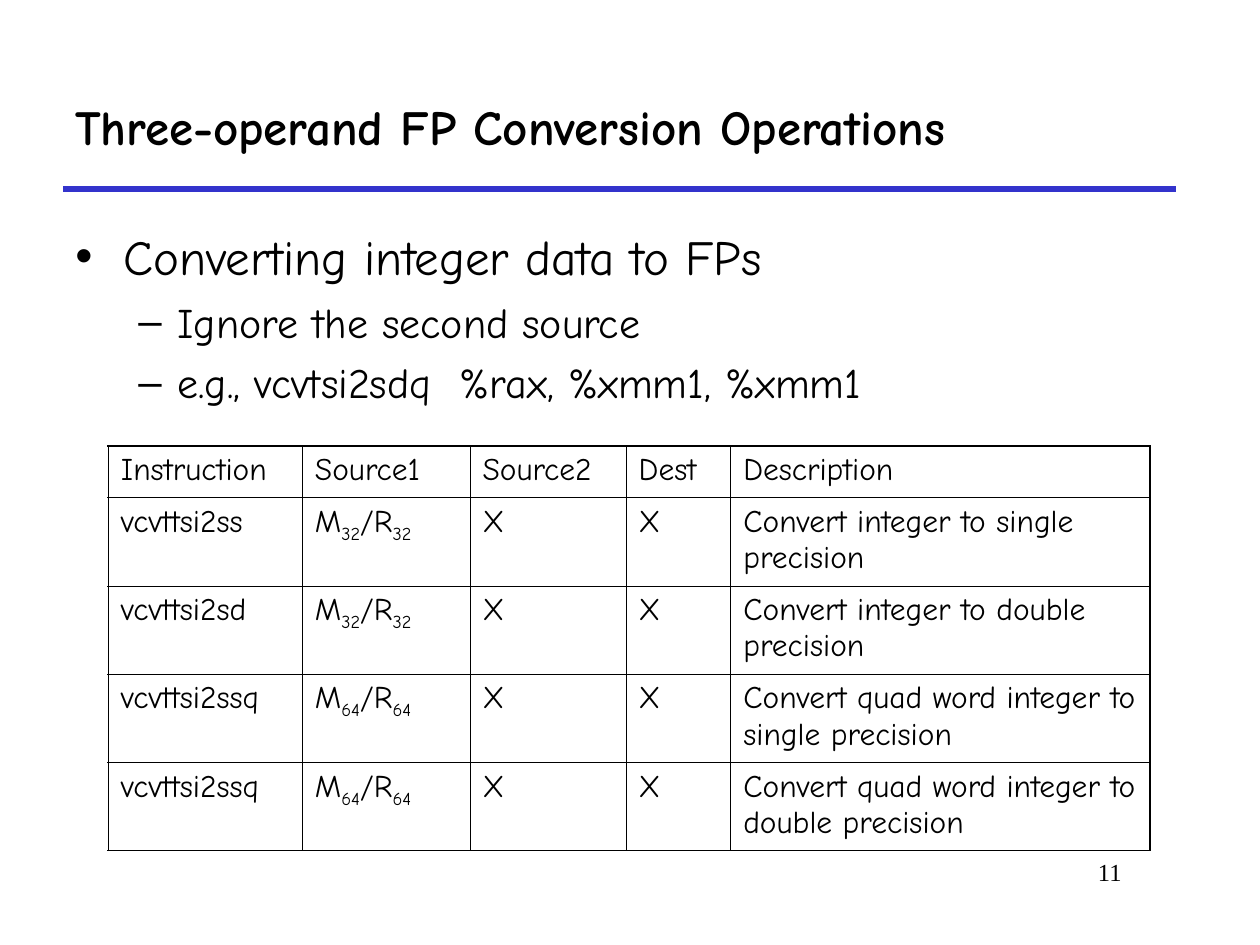
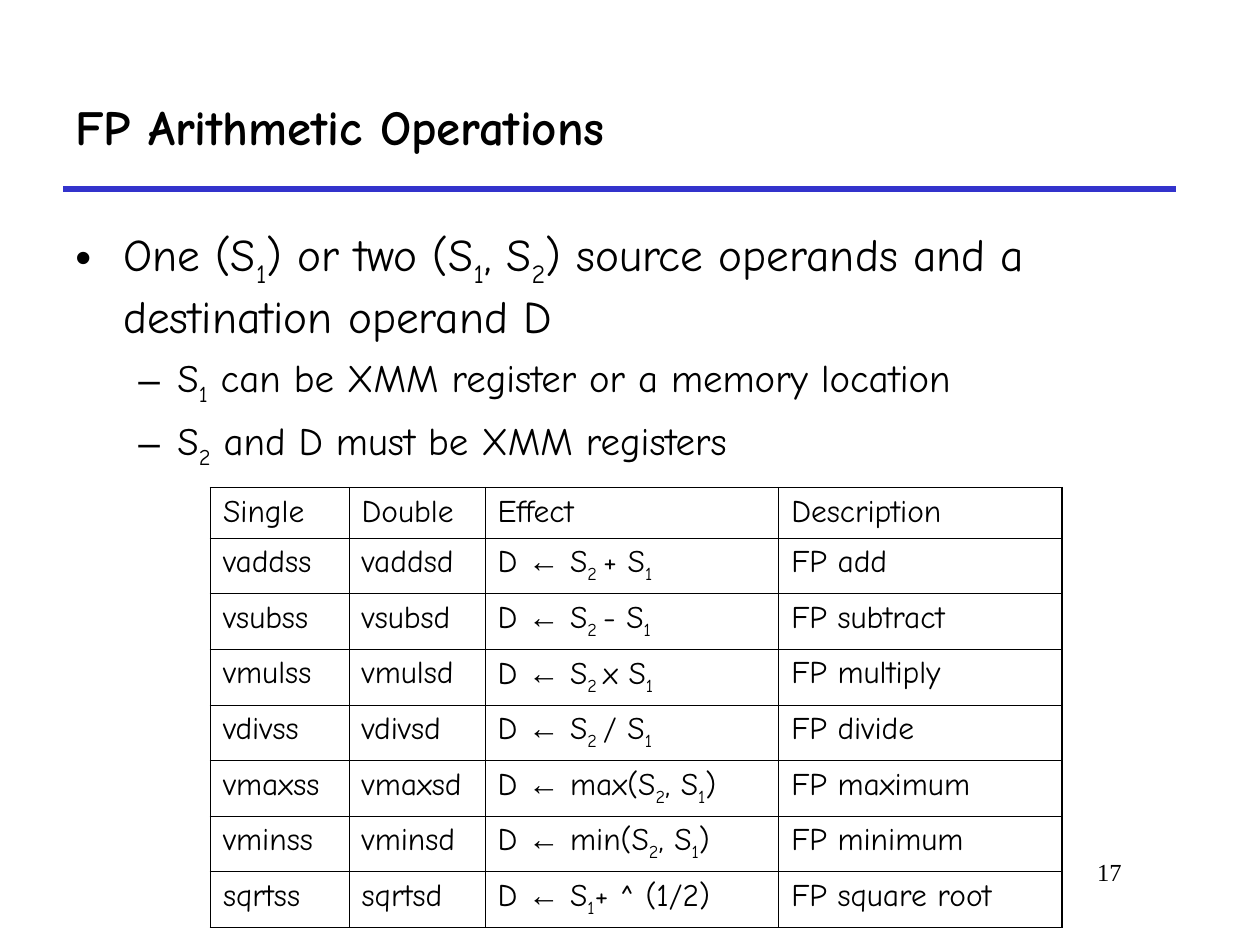
from lxml import etree
from pptx import Presentation
from pptx.dml.color import RGBColor
from pptx.enum import shapes, text
from pptx.oxml.ns import qn
from pptx.util import Inches, Pt

BLACK = RGBColor(0x00, 0x00, 0x00)
RULE_BLUE = RGBColor(0x33, 0x33, 0xCC)
BODY_FONT, ARROW_FONT, NUMBER_FONT = "Comic Neue", "Arial", "Times New Roman"
THIN, THICK = Pt(0.45), Pt(1.08)

# Per level: bullet, left margin, first-line indent, space before
LEVELS = [("•", 0.38, -0.38, 7), ("–", 0.81, -0.31, 6)]


class Deck:
    """Holds the shared style and the slide being built."""

    def __init__(self):
        self.prs = Presentation()
        self.prs.slide_width, self.prs.slide_height = Inches(10), Inches(7.5)
        self.slide = None

    def add_slide(self, title, number):
        self.slide = self.prs.slides.add_slide(self.prs.slide_layouts[6])
        self.rule()
        footer = self.text_box(7.58, 6.75, 1.42, 0.5).paragraphs[0]
        footer.alignment = text.PP_ALIGN.RIGHT
        self.run(footer, str(number), 14, NUMBER_FONT)
        heading = self.text_box(0.5, 0.5, 8.83, 1)
        heading.vertical_anchor = text.MSO_ANCHOR.MIDDLE
        self.run(heading.paragraphs[0], title, 28).bold = True

    def rule(self):
        line = self.slide.shapes.add_connector(
            shapes.MSO_CONNECTOR.STRAIGHT,
            Inches(0.5), Inches(1.5), Inches(9.33), Inches(1.5))
        line.line.color.rgb = RULE_BLUE
        line.line.width = Pt(3)
        etree.SubElement(line._element.spPr, qn("a:effectLst"))

    def text_box(self, left, top, width, height):
        box = self.slide.shapes.add_textbox(
            Inches(left), Inches(top), Inches(width), Inches(height))
        box.text_frame.word_wrap = True
        return box.text_frame

    def run(self, paragraph, words, size, font=BODY_FONT):
        run = paragraph.add_run()
        run.text = words
        run.font.size, run.font.name = Pt(size), font
        run.font.color.rgb = BLACK
        return run.font

    def rich_text(self, paragraph, marked, size):
        """Parts between tildes are subscripts; arrows get their own font."""
        for i, part in enumerate(marked.split("~")):
            before, arrow, after = part.partition("←")
            for words, font in ((before, BODY_FONT), (arrow, ARROW_FONT),
                                (after, BODY_FONT)):
                if words:
                    style = self.run(paragraph, words, size, font)
                    if i % 2:
                        style._element.set("baseline", "-25000")

    def bullets(self, items, sizes, width):
        frame = self.text_box(0.5, 1.75, width, 2)
        for i, (level, words) in enumerate(items):
            paragraph = frame.add_paragraph() if i else frame.paragraphs[0]
            mark, margin, indent, before = LEVELS[level]
            paragraph.level = level
            paragraph.space_before = Pt(before)
            props = paragraph._p.get_or_add_pPr()
            props.set("marL", str(Inches(margin)))
            props.set("indent", str(Inches(indent)))
            color = etree.SubElement(props, qn("a:buClr"))
            etree.SubElement(color, qn("a:srgbClr"), val=str(BLACK))
            etree.SubElement(props, qn("a:buFont"), typeface=ARROW_FONT)
            etree.SubElement(props, qn("a:buChar"), char=mark)
            self.rich_text(paragraph, words, sizes[level])

    def table(self, rows, left, top, widths, heights, bottom):
        table = self.slide.shapes.add_table(
            len(rows), len(widths), Inches(left), Inches(top),
            Inches(sum(widths)), Inches(sum(heights))).table
        table.first_row = table.horz_banding = False
        for column, width in zip(table.columns, widths):
            column.width = Inches(width)
        for r, (row, height) in enumerate(zip(rows, heights)):
            table.rows[r].height = Inches(height)
            for c, words in enumerate(row):
                cell = table.cell(r, c)
                cell.fill.background()
                paragraph = cell.text_frame.paragraphs[0]
                paragraph.space_before = Pt(4.5)
                self.rich_text(paragraph, words, 18)
                self.borders(cell, {
                    "L": THIN if c else THICK,
                    "R": THICK if c == len(widths) - 1 else THIN,
                    "T": THIN if r else THICK,
                    "B": bottom if r == len(rows) - 1 else THIN})

    def borders(self, cell, sides):
        props = cell._tc.get_or_add_tcPr()
        for i, (side, width) in enumerate(sides.items()):
            line = etree.Element(qn(f"a:ln{side}"), w=str(width))
            fill = etree.SubElement(line, qn("a:solidFill"))
            etree.SubElement(fill, qn("a:srgbClr"), val=str(BLACK))
            props.insert(i, line)


def conversion_slide(deck):
    deck.add_slide("Three-operand FP Conversion Operations", 11)
    deck.bullets([
        (0, "Converting integer data to FPs"),
        (1, "Ignore the second source"),
        (1, "e.g., vcvtsi2sdq  %rax, %xmm1, %xmm1"),
    ], sizes=(28, 24), width=9)

    conversions = [
        ("vcvttsi2ss", 32, "integer to single"),
        ("vcvttsi2sd", 32, "integer to double"),
        ("vcvttsi2ssq", 64, "quad word integer to single"),
        ("vcvttsi2ssq", 64, "quad word integer to double"),
    ]
    rows = [("Instruction", "Source1", "Source2", "Dest", "Description")]
    rows += [(name, f"M~{bits}~/R~{bits}~", "X", "X", f"Convert {kind} precision")
             for name, bits, kind in conversions]
    deck.table(rows, 0.86, 3.54, widths=[1.54, 1.33, 1.24, 0.83, 3.33],
               heights=[0.41] + [0.7] * len(conversions), bottom=THIN)


def arithmetic_slide(deck):
    deck.add_slide("FP Arithmetic Operations", 17)
    deck.bullets([
        (0, "One (S~1~) or two (S~1~, S~2~) source operands and a "
            "destination operand D"),
        (1, "S~1~ can be XMM register or a memory location"),
        (1, "S~2~ and D must be XMM registers"),
    ], sizes=(25.9, 22.2), width=8.83)

    operations = [
        ("vadd", "S~2 ~+ S~1~", "add"),
        ("vsub", "S~2 ~- S~1~", "subtract"),
        ("vmul", "S~2 ~x S~1~", "multiply"),
        ("vdiv", "S~2 ~/ S~1~", "divide"),
        ("vmax", "max(S~2~, S~1~)", "maximum"),
        ("vmin", "min(S~2~, S~1~)", "minimum"),
        ("sqrt", "S~1~+ ^ (1/2)", "square root"),
    ]
    rows = [("Single", "Double", "Effect", "Description")]
    rows += [(f"{stem}ss", f"{stem}sd", f"D ← {effect}", f"FP {meaning}")
             for stem, effect, meaning in operations]
    deck.table(rows, 1.67, 3.87, widths=[1.1, 1.08, 2.33, 2.25],
               heights=[0.4] + [0.44] * len(operations), bottom=THICK)


def main():
    deck = Deck()
    conversion_slide(deck)
    arithmetic_slide(deck)
    deck.prs.save("out.pptx")


if __name__ == "__main__":
    main()
